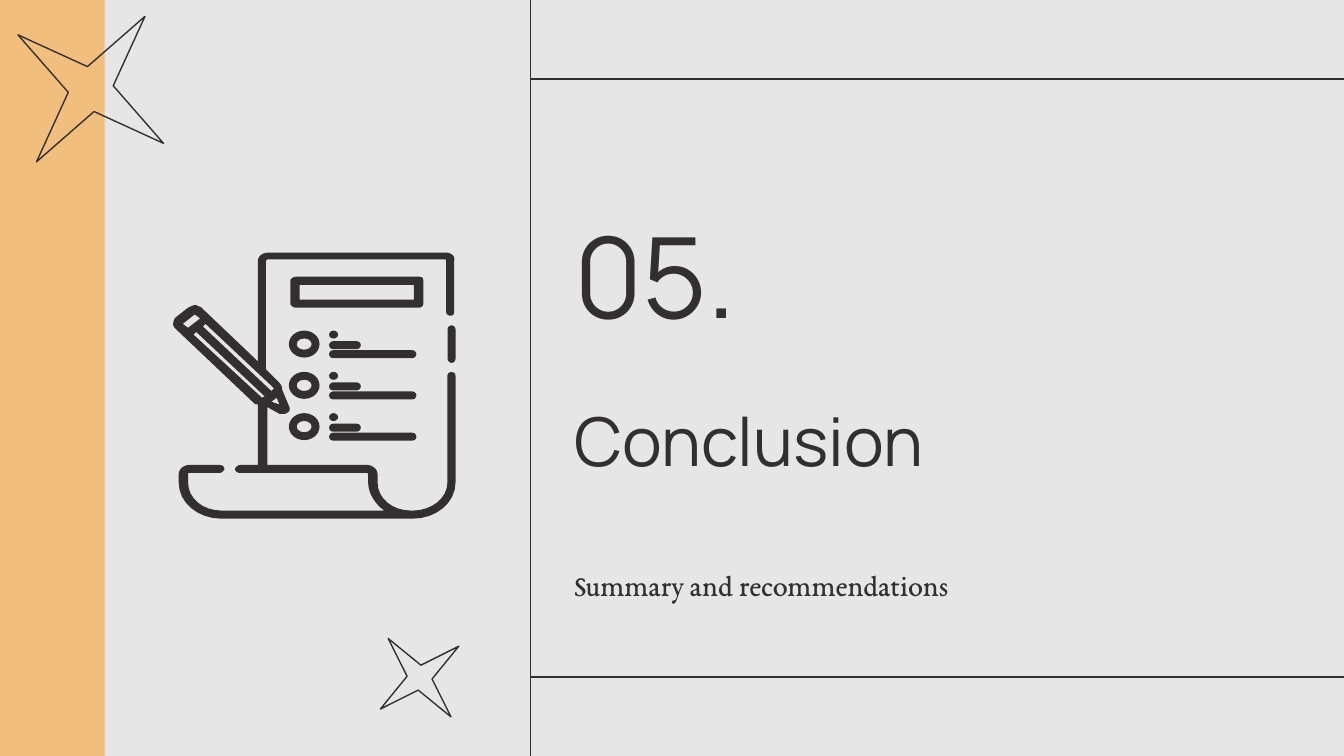
"""Build the conclusion section slide with its stars, rules and checklist icon."""
from dataclasses import dataclass

from lxml.etree import SubElement
from pptx import Presentation
from pptx.dml.color import RGBColor
from pptx.enum.shapes import MSO_CONNECTOR as Connector
from pptx.enum.shapes import MSO_SHAPE as Preset
from pptx.enum.text import MSO_ANCHOR as Anchor
from pptx.oxml.ns import qn
from pptx.shapes.autoshape import Shape
from pptx.shapes.shapetree import GroupShapes, SlideShapes
from pptx.util import Cm, Pt

INK = RGBColor(0x33, 0x2F, 0x2F)
PAPER = RGBColor(0xE6, 0xE6, 0xE6)
ORANGE = RGBColor(0xF1, 0xBE, 0x7E)

WIDTH, HEIGHT = 25.4, 14.29
RULE_LEFT = 10.03
TEXT_LEFT = 10.6
GRID = Cm(0.0254)
CURVE_STEPS = 8

PENCIL_BACK = """200,188 195,188/192,191/192,194 192,269 150,229
    149,228/147,228/146,227 144,227/142,228/140,229 131,236
    129,238/128,242/130,244 189,300 190,301/191,301/192,301"""
SCROLL_FOOT = """192,346 179,346 177,346/175,348/175,349 175,351/177,352/179,352
    273,352 273,352/274,352/274,353 274,359 274,367/279,375/286,380 165,380
    151,380/140,371/140,359 140,353 140,352/140,352/141,352 163,352
    165,352/167,350/167,349 167,347/165,346/163,346 141,346
    137,346/133,349/133,353 133,359 133,374/147,386/165,386"""
SCROLL_CURL = """307,386 325,386/339,374/339,359 339,280 339,278/338,277/336,277
    334,277/333,278/333,280 333,359 333,371/321,380/307,380 306,380
    292,380/281,371/281,359 281,353 281,349/277,346/273,346 199,346"""
PENCIL_TIP = """199,303 208,308 209,308/210,308/210,308 212,308/213,308/214,307
    216,306/216,304/215,302 210,290 210,289 210,288/209,286/208,285 198,275"""
PAGE_TOP = """198,194 198,194/199,193/199,193 331,193 332,193/332,194/332,194
    332,232 332,234/334,235/335,235 337,235/338,234/338,232 338,194
    339,191/336,188/332,188"""
PAPER_AND_PENCIL = (
    "145,234 149,237 140,244 136,241",
    "153,241 204,289 202,291 151,243",
    "146,247 197,295 195,296 144,249",
    "206,296 208,301 202,299",
    " ".join((PENCIL_BACK, SCROLL_FOOT, SCROLL_CURL, PENCIL_TIP, PAGE_TOP)),
)
HEADING_FRAME = (
    "308,212 308,223 223,223 223,212",
    """220,206 218,206/216,208/216,209 216,226 216,227/218,229/220,229 312,229
    314,229/315,227/315,226 315,209 315,207/314,206/312,206""",
)


@dataclass(frozen=True)
class Star:
    left: float
    top: float
    size: float
    rotation: float


@dataclass(frozen=True)
class Rule:
    start: tuple[float, float]
    end: tuple[float, float]


@dataclass(frozen=True)
class Mark:
    preset: Preset
    left: float
    top: float
    width: float
    height: float
    adjustment: float | None = None


STARS = (Star(0, -0.03, 3.43, 36.7), Star(6.98, 11.86, 1.9, 51.3))
RULES = (
    Rule((RULE_LEFT, 0), (RULE_LEFT, HEIGHT)),
    Rule((WIDTH, 1.49), (RULE_LEFT, 1.49)),
    Rule((WIDTH, 12.8), (RULE_LEFT, 12.8)),
)
PAPER_EDGE = Mark(Preset.ROUNDED_RECTANGLE, 8.46, 6.15, 0.15, 0.71, 0.5)
ITEM_TOPS = (6.25, 7.03, 7.81)
ITEM_MARKS = (
    Mark(Preset.DONUT, 5.46, 0, 0.58, 0.51, 0.29),
    Mark(Preset.ROUNDED_RECTANGLE, 6.22, 0.2, 0.6, 0.15, 0.5),
    Mark(Preset.ROUNDED_RECTANGLE, 6.22, 0.37, 1.65, 0.15, 0.5),
    Mark(Preset.OVAL, 6.22, 0, 0.17, 0.15),
)


def fill_plain(shape: Shape, color: RGBColor) -> None:
    shape.shadow.inherit = False
    shape.fill.solid()
    shape.fill.fore_color.rgb = color
    shape.line.fill.background()


def draw_star(shapes: SlideShapes, star: Star) -> None:
    shape = shapes.add_shape(
        Preset.STAR_4_POINT, Cm(star.left), Cm(star.top), Cm(star.size), Cm(star.size)
    )
    shape.adjustments[0] = 0.125
    shape.rotation = star.rotation
    shape.shadow.inherit = False
    shape.fill.background()
    shape.line.color.rgb = INK
    shape.line.width = Pt(0.75)


def draw_rule(shapes: SlideShapes, rule: Rule) -> None:
    ends = [Cm(value) for value in (*rule.start, *rule.end)]
    connector = shapes.add_connector(Connector.STRAIGHT, *ends)
    connector.line.color.rgb = INK
    connector.line.width = Pt(0.75)
    SubElement(connector._element.spPr, qn("a:effectLst"))


def draw_mark(
    shapes: SlideShapes | GroupShapes, mark: Mark, offset: float = 0, color: RGBColor = INK
) -> None:
    shape = shapes.add_shape(
        mark.preset, Cm(mark.left), Cm(mark.top + offset), Cm(mark.width), Cm(mark.height)
    )
    if mark.adjustment is not None:
        shape.adjustments[0] = mark.adjustment
    fill_plain(shape, color)


def trace(contour: str) -> list[tuple[float, float]]:
    """Turn corners and slash-joined Bézier triples into a list of points."""
    points = []
    for token in contour.split():
        stops = [tuple(int(n) * GRID for n in pair.split(",")) for pair in token.split("/")]
        if len(stops) == 1:
            points += stops
            continue
        controls = (points[-1], *stops)
        for step in range(1, CURVE_STEPS + 1):
            t = step / CURVE_STEPS
            weights = ((1 - t) ** 3, 3 * t * (1 - t) ** 2, 3 * t**2 * (1 - t), t**3)
            x, y = (sum(w * c[axis] for w, c in zip(weights, controls)) for axis in (0, 1))
            points.append((x, y))
    return points


def draw_outline(shapes: GroupShapes, contours: tuple[str, ...]) -> None:
    traced = [trace(contour) for contour in contours]
    builder = shapes.build_freeform(*traced[0][0])
    for index, points in enumerate(traced):
        if index:
            builder.move_to(*points[0])
        builder.add_line_segments(points[1:], close=True)
    fill_plain(builder.convert_to_shape(), INK)


def draw_text(
    shapes: SlideShapes, text: str, *, top: float, width: float, height: float,
    size: float, font: str, anchor: Anchor = Anchor.MIDDLE,
) -> None:
    box = shapes.add_textbox(Cm(TEXT_LEFT), Cm(top), Cm(width), Cm(height))
    frame = box.text_frame
    frame.word_wrap = True
    frame.vertical_anchor = anchor
    frame.margin_left = frame.margin_right = Cm(0.25)
    frame.margin_top = frame.margin_bottom = Cm(0.25)
    run = frame.paragraphs[0].add_run()
    run.text = text
    run.font.name = font
    run.font.size = Pt(size)
    run.font.color.rgb = INK


def draw_checklist(shapes: SlideShapes) -> None:
    icon = shapes.add_group_shape().shapes
    draw_outline(icon, PAPER_AND_PENCIL)
    for mark in (PAPER_EDGE,):
        draw_mark(icon, mark)
    for top in ITEM_TOPS:
        for mark in ITEM_MARKS:
            draw_mark(icon, mark, top)
    draw_outline(icon, HEADING_FRAME)


def main() -> None:
    presentation = Presentation()
    presentation.slide_width, presentation.slide_height = Cm(WIDTH), Cm(HEIGHT)
    slide = presentation.slides.add_slide(presentation.slide_layouts[6])
    slide.background.fill.solid()
    slide.background.fill.fore_color.rgb = PAPER
    shapes = slide.shapes
    large_star, small_star = STARS
    draw_mark(shapes, Mark(Preset.RECTANGLE, 0, 0, 1.98, HEIGHT), color=ORANGE)
    draw_star(shapes, large_star)
    draw_text(shapes, "Summary and recommendations", top=10.46, width=12.12, height=1.3,
              size=16, font="EB Garamond", anchor=Anchor.TOP)
    draw_text(shapes, "Conclusion", top=6.35, width=14.22, height=3.94, size=36, font="Manrope")
    draw_text(shapes, "05.", top=4.01, width=8.76, height=2.34, size=60, font="Manrope")
    for rule in RULES:
        draw_rule(shapes, rule)
    draw_star(shapes, small_star)
    draw_checklist(shapes)
    presentation.save("out.pptx")


if __name__ == "__main__":
    main()
